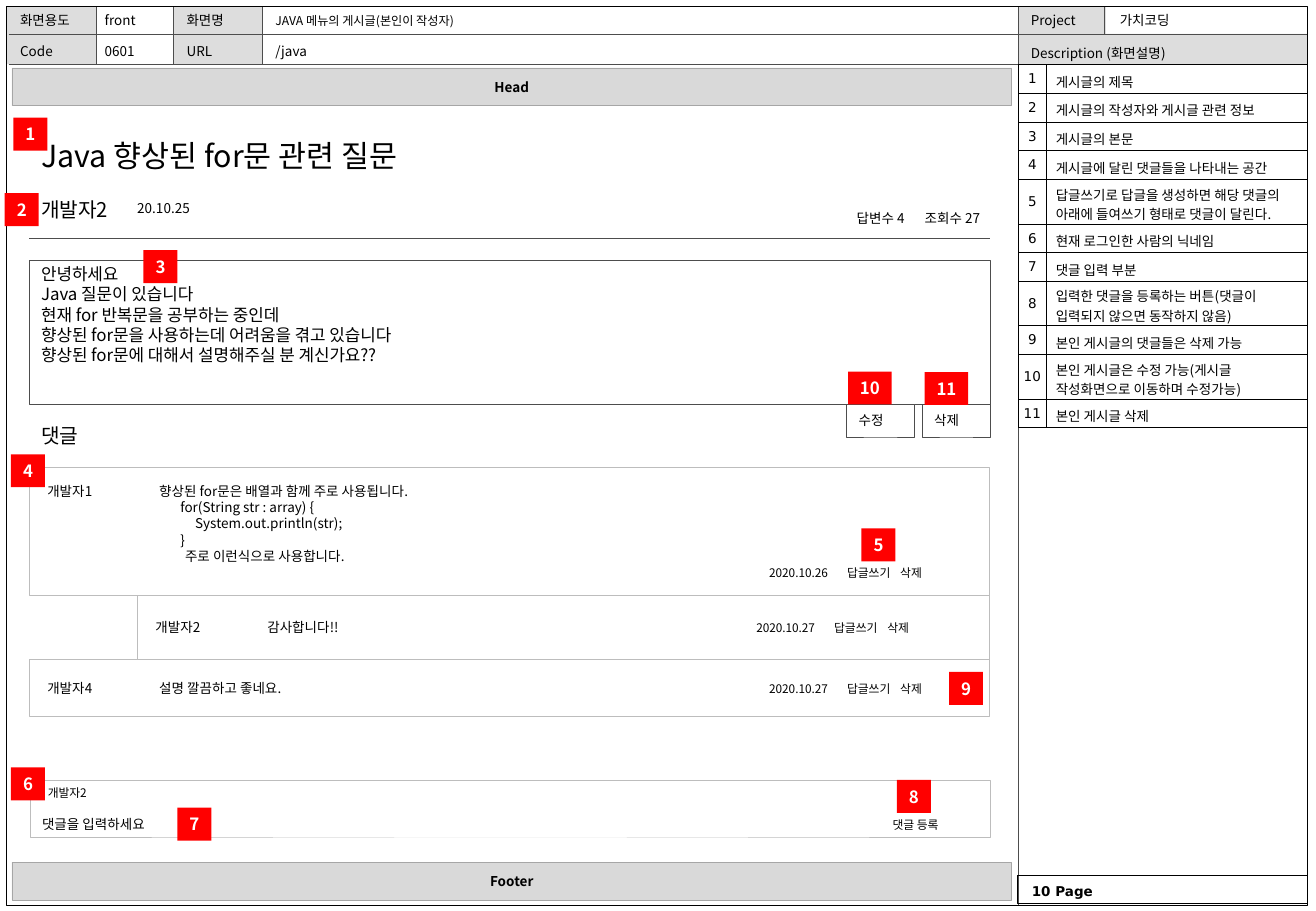
from lxml.etree import SubElement
from pptx import Presentation
from pptx.dml.color import RGBColor
from pptx.enum.shapes import MSO_CONNECTOR, MSO_SHAPE
from pptx.enum.text import MSO_ANCHOR, PP_ALIGN
from pptx.oxml.ns import qn
from pptx.util import Cm, Pt

SANS, MONO = "Noto Sans CJK KR", "DejaVu Sans"
BLACK, WHITE, RED = "000000", "FFFFFF", "FF0000"
LABEL, BAR, EDGE, RULE, PALE = "DDDDDD", "D9D9D9", "A6A6A6", "4D4D4D", "BDBDBD"
THIN = Pt(0.25)


def color(code):
    return RGBColor.from_string(code)


class Sheet:
    """Holds the current slide and the style of its elements."""

    def __init__(self, slide):
        self.shapes = slide.shapes

    def style(self, par, size=8, ink=BLACK, bold=False, face=SANS,
              align=PP_ALIGN.LEFT, tabs=(), pitch=1.2):
        par.alignment = align
        par.line_spacing = Pt(round(size * pitch, 1))
        font = par.font
        font.size, font.bold, font.name = Pt(size), bold, face
        font.color.rgb = color(ink)
        base = par._p.pPr.find(qn("a:defRPr"))
        SubElement(base, qn("a:ea"), typeface=face)
        if tabs:
            stops = SubElement(par._p.pPr, qn("a:tabLst"))
            for stop in tabs:
                SubElement(stops, qn("a:tab"), pos=str(int(Cm(stop))), algn="l")
            base.addprevious(stops)

    def frame(self, shape, left=0.0, top=0.0, anchor=MSO_ANCHOR.MIDDLE):
        frame = shape.text_frame
        frame.word_wrap = True
        frame.margin_left, frame.margin_top = Cm(left), Cm(top)
        frame.margin_right = frame.margin_bottom = 0
        frame.vertical_anchor = anchor
        return frame

    def lines(self, frame, rows, **look):
        """Each row is (text, tabs, small text that ends the line)."""
        for i, (text, tabs, small) in enumerate(rows):
            par = frame.add_paragraph() if i else frame.paragraphs[0]
            self.style(par, tabs=tabs, **look)
            par.add_run().text = text
            if small:
                run = par.add_run()
                run.text, run.font.size = small, Pt(7)

    def box(self, x, y, w, h, fill=None, edge=None):
        shape = self.shapes.add_shape(MSO_SHAPE.RECTANGLE, Cm(x), Cm(y), Cm(w), Cm(h))
        shape.shadow.inherit = False
        if fill:
            shape.fill.solid()
            shape.fill.fore_color.rgb = color(fill)
        else:
            shape.fill.background()
        if edge:
            shape.line.color.rgb = color(edge)
            shape.line.width = THIN
        else:
            shape.line.fill.background()
        return shape

    def panel(self, x, y, w, h, rows, fill=WHITE, edge=RULE, left=0.25, top=0.0,
              anchor=MSO_ANCHOR.MIDDLE, **look):
        shape = self.box(x, y, w, h, fill, edge)
        self.lines(self.frame(shape, left, top, anchor), rows, **look)

    def badge(self, number, x, y):
        self.panel(x, y, 0.71 if number < 10 else 0.91, 0.69, [(str(number), (), "")],
                   RED, None, 0, size=10, ink=WHITE, bold=True, align=PP_ALIGN.CENTER)

    def text(self, x, mid, text, w=3.5, tabs=(), **look):
        """Text that starts at x and is centred on the height mid."""
        h = 1.0
        shape = self.shapes.add_textbox(Cm(x), Cm(mid - h / 2), Cm(w), Cm(h))
        self.lines(self.frame(shape), [(text, tabs, "")], **look)

    def line(self, x1, y1, x2, y2):
        line = self.shapes.add_connector(MSO_CONNECTOR.STRAIGHT, Cm(x1), Cm(y1), Cm(x2), Cm(y2))
        line.line.color.rgb = color(RULE)
        line.line.width = THIN
        SubElement(line._element.spPr, qn("a:effectLst"))

    def grid(self, x, y, widths, notes):
        heights = [0.93 if len(note) > 25 else 0.6 for note in notes]
        table = self.shapes.add_table(len(notes), 2, Cm(x), Cm(y),
                                      Cm(sum(widths)), Cm(sum(heights))).table
        for col, width in zip(table.columns, widths):
            col.width = Cm(width)
        for i, (note, height) in enumerate(zip(notes, heights)):
            table.rows[i].height = Cm(height)
            self.cell(table.cell(i, 0), str(i + 1), 0, 0, face=MONO, align=PP_ALIGN.CENTER)
            self.cell(table.cell(i, 1), note, 0.2, 0.1, pitch=1.45)

    def cell(self, cell, text, side, top, **look):
        cell.margin_left = cell.margin_right = Cm(side)
        cell.margin_top, cell.margin_bottom = Cm(top), 0
        cell.vertical_anchor = MSO_ANCHOR.MIDDLE
        self.lines(cell.text_frame, [(text, (), "")], **look)
        props = cell._tc.get_or_add_tcPr()
        for edge in ("lnL", "lnR", "lnT", "lnB"):
            line = SubElement(props, qn("a:" + edge), w=str(int(THIN)))
            SubElement(SubElement(line, qn("a:solidFill")), qn("a:srgbClr"), val=BLACK)
        cell.fill.background()


deck = Presentation()
deck.slide_width, deck.slide_height = Cm(27.51), Cm(19.05)
sheet = Sheet(deck.slides.add_slide(deck.slide_layouts[6]))

# Header cells and outer frame
SIDE, END = 21.29, 27.33
for x, y, w, h in [(SIDE, 0.71, 6.04, 0.64), (SIDE, 0.13, 1.83, 0.58),
                   (0.15, 0.13, 1.86, 1.21), (3.63, 0.13, 1.86, 1.21)]:
    sheet.box(x, y, w, h, LABEL)
for x, low in [(2.01, 1.33), (3.63, 1.33), (5.49, 1.33), (23.09, 0.71), (SIDE, 18.93)]:
    sheet.line(x, 0.13, x, low)
for y in (0.71, 1.35):
    sheet.line(0.18, y, END, y)
sheet.box(0.13, 0.13, 27.2, 18.8, edge=BLACK)
for x, top, low in [(0.42, "화면용도", "Code"), (2.19, "front", "0601"),
                    (3.9, "화면명", "URL"), (5.76, "", "/java"),
                    (21.55, "Project", "Description (화면설명)"), (23.41, "가치코딩", "")]:
    for mid, text in [(0.43, top), (1.07 if x < SIDE else 1.12, low)]:
        if text:
            sheet.text(x, mid, text)
sheet.text(5.76, 0.43, "JAVA 메뉴의 게시글(본인이 작성자)", w=15, size=7.2)

# Head and footer bars, page number
for y, name in [(1.42, "Head"), (18.03, "Footer")]:
    sheet.panel(0.25, y, 20.9, 0.79, [(name, (), "")], BAR, EDGE, 0,
                bold=True, align=PP_ALIGN.CENTER)
sheet.box(21.26, 18.31, 6.07, 0.57, edge=BLACK)
sheet.text(21.57, 18.63, "10 Page", bold=True, face=MONO)

# Post
sheet.text(0.86, 3.24, "Java 향상된 for문 관련 질문", w=12, size=18)
sheet.text(0.86, 4.37, "개발자2", size=12)
sheet.text(2.87, 4.35, "20.10.25")
sheet.text(17.91, 4.56, "답변수 4\t조회수 27", tabs=[1.42])
sheet.line(0.61, 4.98, 20.7, 4.98)
post = ["안녕하세요", "Java 질문이 있습니다", "현재 for 반복문을 공부하는 중인데",
        "향상된 for문을 사용하는데 어려움을 겪고 있습니다",
        "향상된 for문에 대해서 설명해주실 분 계신가요??"]
sheet.panel(0.61, 5.44, 20.09, 3.02, [(row, (), "") for row in post],
            top=0.08, anchor=MSO_ANCHOR.TOP, size=10)
for x, name in [(17.7, "수정"), (19.28, "삭제")]:
    sheet.panel(x, 8.45, 1.42, 0.69, [(name, (), "")])

# Comments
sheet.text(0.86, 9.11, "댓글", size=12)
BODY = 2.34


def stops(date):
    return [date, date + 1.63, date + 2.74]


def tail(date):
    return f"\t{date}\t답글쓰기\t삭제"


first = [("개발자1\t향상된 for문은 배열과 함께 주로 사용됩니다.", [BODY], ""),
         ("\tfor(String str : array) {", [2.78], ""),
         ("\tSystem.out.println(str);", [3.09], ""),
         ("\t}", [2.78], ""),
         ("\t주로 이런식으로 사용합니다.", [2.88], ""),
         ("", stops(15.09), tail("2020.10.26"))]
reply = [("개발자2\t감사합니다!!", [BODY] + stops(12.56), tail("2020.10.27"))]
last = [("개발자4\t설명 깔끔하고 좋네요.", [BODY] + stops(15.09), tail("2020.10.27"))]
for x, y, w, h, rows in [(0.61, 9.78, 20.07, 2.67, first), (0.61, 13.79, 20.07, 1.19, last),
                         (2.87, 12.45, 17.81, 1.34, reply)]:
    sheet.panel(x, y, w, h, rows, edge=PALE, left=0.38)

# Comment entry
sheet.box(0.64, 16.31, 20.07, 1.19, WHITE, PALE)
sheet.text(1.0, 16.58, "개발자2", size=7)
sheet.text(0.88, 17.24, "댓글을 입력하세요")
sheet.text(18.66, 17.24, "댓글 등록", w=2, size=7)

# Description table
sheet.grid(SIDE, 1.35, [0.58, 5.46], [
    "게시글의 제목", "게시글의 작성자와 게시글 관련 정보", "게시글의 본문",
    "게시글에 달린 댓글들을 나타내는 공간",
    "답글쓰기로 답글을 생성하면 해당 댓글의 아래에 들여쓰기 형태로 댓글이 달린다.",
    "현재 로그인한 사람의 닉네임", "댓글 입력 부분",
    "입력한 댓글을 등록하는 버튼(댓글이 입력되지 않으면 동작하지 않음)",
    "본인 게시글의 댓글들은 삭제 가능",
    "본인 게시글은 수정 가능(게시글 작성화면으로 이동하며 수정가능)", "본인 게시글 삭제"])

# Numbered badges
spots = [(0.28, 2.46), (0.1, 4.04), (3, 5.23), (0.23, 9.5), (18.01, 11.05), (0.23, 16.05),
         (3.71, 16.89), (18.75, 16.31), (19.84, 14.05), (17.73, 7.77), (19.33, 7.78)]
for number, (x, y) in enumerate(spots, 1):
    sheet.badge(number, x, y)

deck.save("out.pptx")
